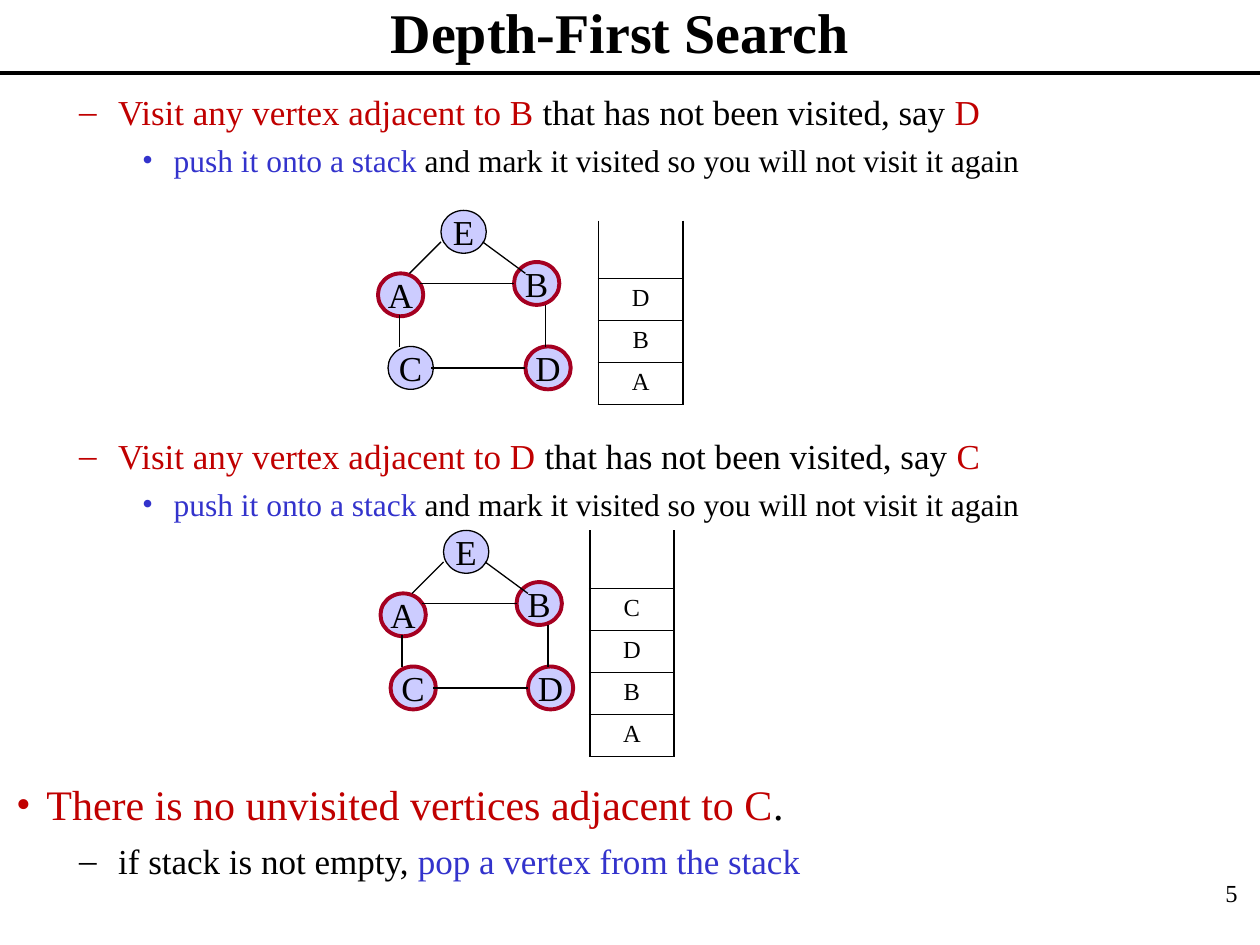
from dataclasses import dataclass

from lxml.etree import SubElement
from pptx import Presentation
from pptx.dml.color import RGBColor
from pptx.enum.shapes import MSO_CONNECTOR, MSO_SHAPE
from pptx.enum.text import MSO_ANCHOR, PP_ALIGN
from pptx.oxml.ns import qn
from pptx.slide import Slide
from pptx.util import Inches, Pt

COLORS = {
    "black": "000000",
    "red": "C00000",
    "blue": "3333CC",
    "vertex": "CCCCFF",
    "visited": "A50021",
}
LEVELS = [("•", 0.24, 0.24, 24), ("–", 0.81, 0.31, 20), ("•", 1.25, 0.25, 18)]
VERTICES = {"A": (3, 2.17), "C": (3.08, 2.75), "D": (4.17, 2.75), "E": (3.5, 1.67), "B": (4.08, 2.08)}
EDGES = [
    (3.33, 2.25, 4.08, 2.25),
    (4.17, 2.92, 3.42, 2.92),
    (4.33, 2.42, 4.33, 2.75),
    (3.17, 2.5, 3.17, 2.75),
    (3.25, 2.17, 3.5, 1.92),
    (3.83, 1.92, 4.17, 2.17),
]
PUSH = [("push it onto a stack ", "blue"), ("and mark it visited so you will not visit it again", "black")]


def visit(source, target):
    """Return the runs of the line about visiting a neighbour."""
    return [
        (f"Visit any vertex adjacent to {source} ", "red"),
        ("that has not been visited, say ", "black"),
        (target, "red"),
    ]


OUTLINE = [
    (1, 0, "red", visit("B", "D")),
    (2, 5, "blue", PUSH),
    (1, 146, "red", visit("D", "C")),
    (2, 5, "blue", PUSH),
    (0, 146, "red", [("There is no unvisited vertices adjacent to C", "red"), (".", "black")]),
    (1, 6, "black", [("if stack is not empty, ", "black"), ("pop a vertex from the stack", "blue")]),
]


@dataclass
class SlideBuilder:
    """Hold the style and the current slide."""

    slide: Slide
    font: str = "Times New Roman"

    def color(self, name):
        """Return a named colour."""
        return RGBColor.from_string(COLORS[name])

    def style(self, run, size, color="black", bold=False):
        """Format one run."""
        run.font.name = self.font
        run.font.size = Pt(size)
        run.font.bold = bold
        run.font.color.rgb = self.color(color)

    def label(self, text_frame, text, size, align=PP_ALIGN.CENTER, bold=False):
        """Set a one-line text."""
        text_frame.text = text
        paragraph = text_frame.paragraphs[0]
        paragraph.alignment = align
        self.style(paragraph.runs[0], size, bold=bold)

    def text_box(self, left, top, width, height):
        """Add a wrapping text box and return its text frame."""
        shape = self.slide.shapes.add_textbox(Inches(left), Inches(top), Inches(width), Inches(height))
        shape.text_frame.word_wrap = True
        return shape.text_frame

    def outline(self, text_frame, items):
        """Fill a text frame with bulleted paragraphs."""
        for index, (level, space, bullet_color, runs) in enumerate(items):
            paragraph = text_frame.add_paragraph() if index else text_frame.paragraphs[0]
            character, margin, hanging, size = LEVELS[level]
            paragraph.level = level
            paragraph.space_before = Pt(space)
            properties = paragraph._p.get_or_add_pPr()
            properties.set("marL", str(Inches(margin)))
            properties.set("indent", str(-Inches(hanging)))
            bullet = SubElement(properties, qn("a:buClr"))
            SubElement(bullet, qn("a:srgbClr"), val=COLORS[bullet_color])
            SubElement(properties, qn("a:buFont"), typeface=self.font)
            SubElement(properties, qn("a:buChar"), char=character)
            for text, color in runs:
                run = paragraph.add_run()
                run.text = text
                self.style(run, size, color)

    def line(self, start_x, start_y, end_x, end_y, width=0.75):
        """Add a straight black line."""
        connector = self.slide.shapes.add_connector(
            MSO_CONNECTOR.STRAIGHT, Inches(start_x), Inches(start_y), Inches(end_x), Inches(end_y)
        )
        connector.line.color.rgb = self.color("black")
        connector.line.width = Pt(width)
        SubElement(connector._element.spPr, qn("a:effectLst"))

    def vertex(self, name, left, top, visited):
        """Add one labelled vertex."""
        shape = self.slide.shapes.add_shape(
            MSO_SHAPE.OVAL, Inches(left), Inches(top), Inches(0.36), Inches(0.34)
        )
        shape.shadow.inherit = False
        shape.fill.solid()
        shape.fill.fore_color.rgb = self.color("vertex")
        shape.line.color.rgb = self.color("visited" if visited else "black")
        shape.line.width = Pt(2.25 if visited else 0.75)
        shape.text_frame.word_wrap = False
        shape.text_frame.vertical_anchor = MSO_ANCHOR.MIDDLE
        self.label(shape.text_frame, name, 20)

    def graph(self, shift_x, shift_y, visited):
        """Add the graph with its visited vertices outlined."""
        for name, (left, top) in VERTICES.items():
            self.vertex(name, left + shift_x, top + shift_y, name in visited)
        for start_x, start_y, end_x, end_y in EDGES:
            self.line(start_x + shift_x, start_y + shift_y, end_x + shift_x, end_y + shift_y)

    def borders(self, cell, widths):
        """Set the left, right, top and bottom borders of a cell."""
        properties = cell._tc.get_or_add_tcPr()
        for index, (side, width) in enumerate(zip("LRTB", widths)):
            border = SubElement(properties, qn(f"a:ln{side}"), w=str(Pt(width)))
            properties.insert(index, border)
            if width:
                fill = SubElement(border, qn("a:solidFill"))
                SubElement(fill, qn("a:srgbClr"), val=COLORS["black"])
            else:
                SubElement(border, qn("a:noFill"))

    def stack(self, left, top, names):
        """Add a stack table that is open at the top."""
        heights = [0.46] + [0.33] * len(names)
        table = self.slide.shapes.add_table(
            len(heights), 1, Inches(left), Inches(top), Inches(0.67), Inches(sum(heights))
        ).table
        table.first_row = table.horz_banding = False
        for index, height in enumerate(heights):
            table.rows[index].height = Inches(height)
            cell = table.cell(index, 0)
            cell.fill.background()
            is_last = index == len(names)
            self.borders(cell, (1.08, 1.08, 0.45 if index else 0, 1.08 if is_last else 0.45))
            if index:
                self.label(cell.text_frame, names[index - 1], 14)


def main():
    """Build and save the slide."""
    presentation = Presentation()
    presentation.slide_width = Inches(10)
    presentation.slide_height = Inches(7.5)
    builder = SlideBuilder(presentation.slides.add_slide(presentation.slide_layouts[6]))

    builder.label(builder.text_box(9.17, 6.92, 0.75, 0.5), "5", 14, PP_ALIGN.RIGHT)
    title = builder.text_box(0.67, 0, 8.5, 0.5)
    title.vertical_anchor = MSO_ANCHOR.MIDDLE
    builder.label(title, "Depth-First Search", 32, bold=True)
    builder.outline(builder.text_box(0.03, 0.67, 10, 6.5), OUTLINE)

    builder.graph(0, 0, "ABD")
    builder.graph(0.02, 2.54, "ABCD")
    builder.stack(4.75, 1.75, "DBA")
    builder.stack(4.68, 4.21, "CDBA")
    builder.line(0, 0.58, 10, 0.58, 2.25)

    presentation.save("out.pptx")


if __name__ == "__main__":
    main()
